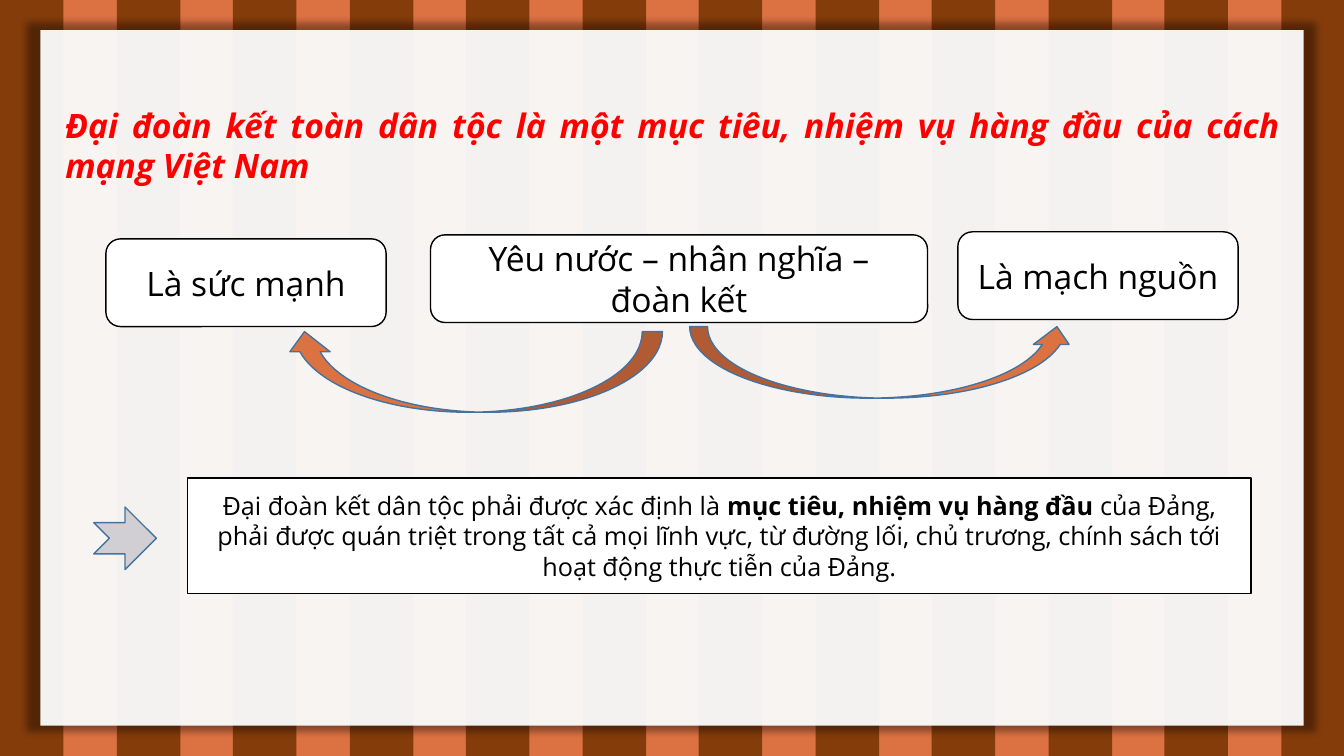
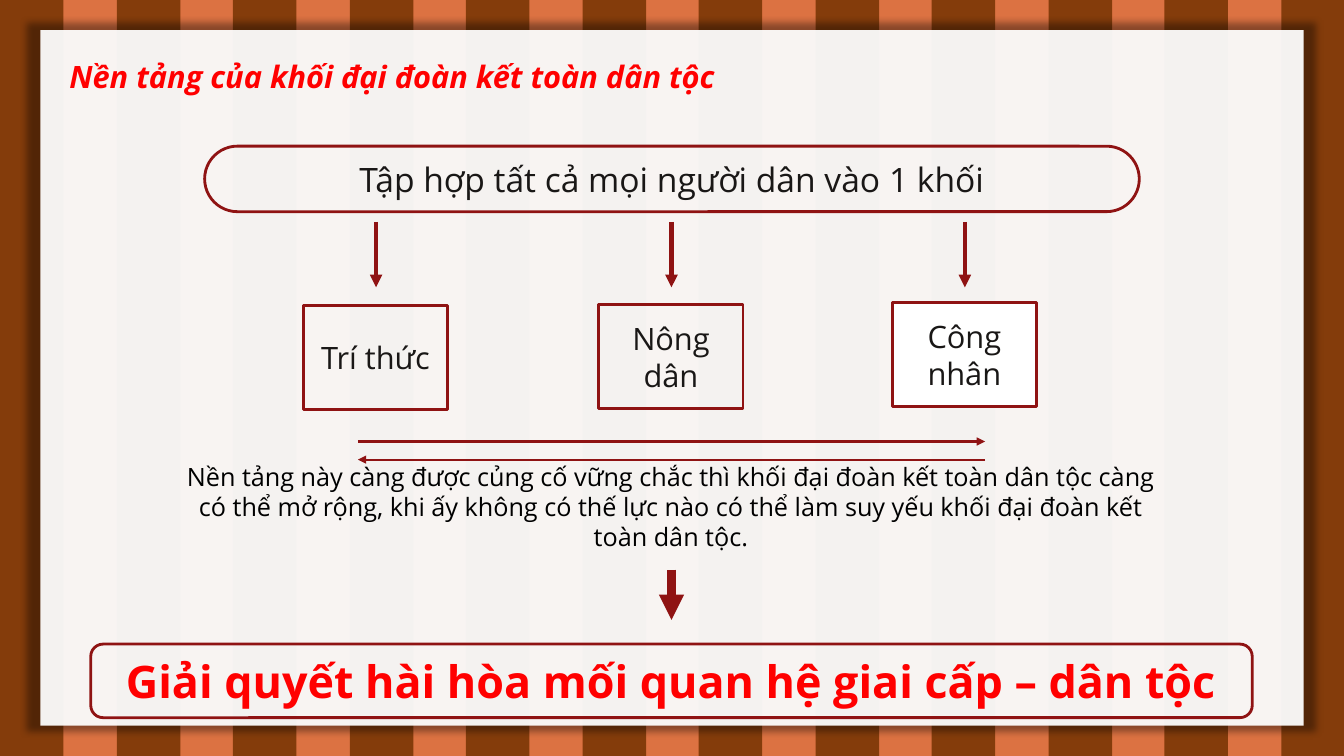
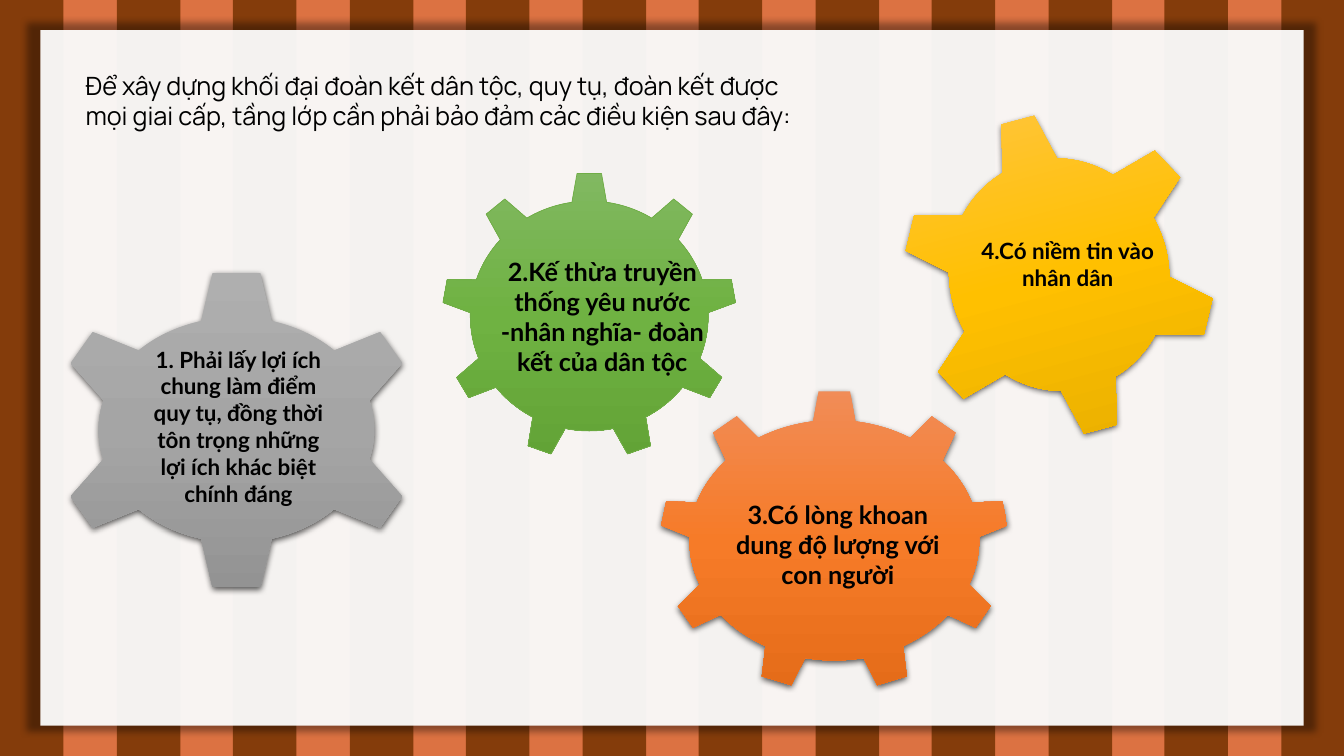
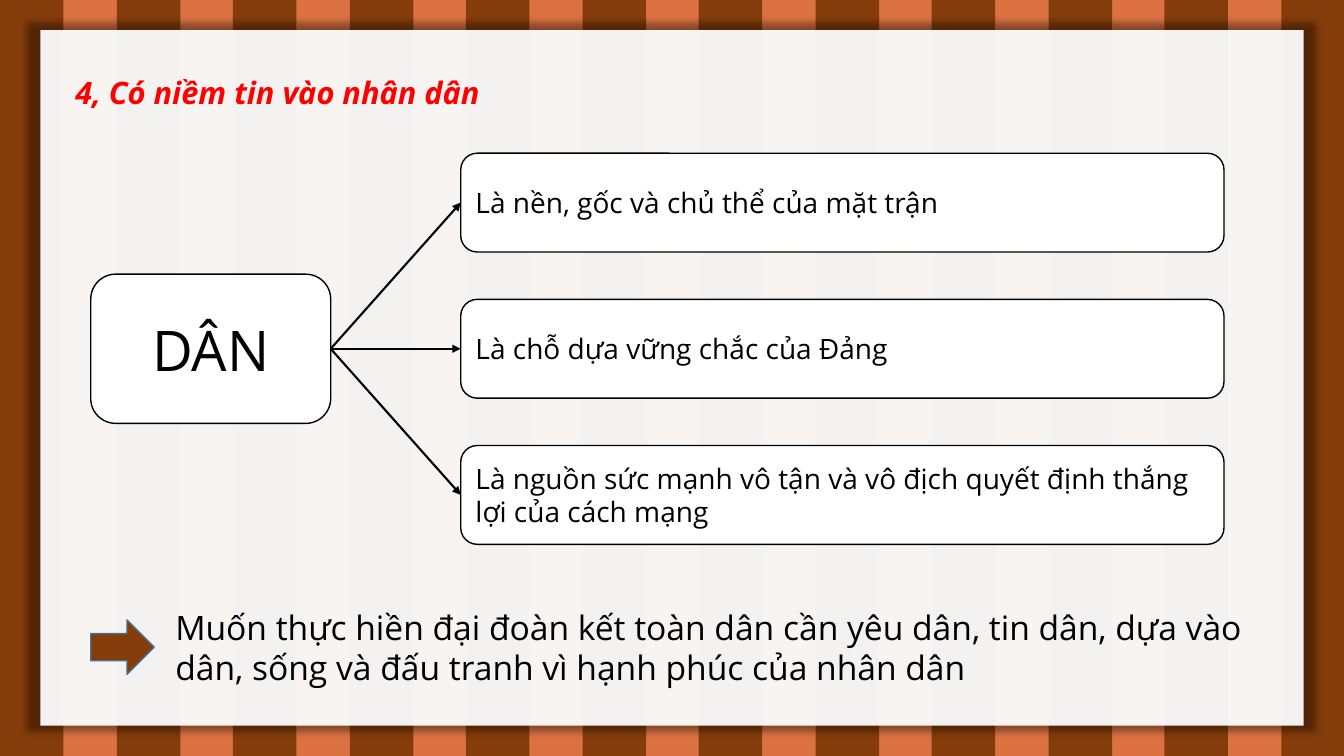
from dataclasses import dataclass

from lxml import etree
from pptx import Presentation
from pptx.dml.color import RGBColor
from pptx.enum.shapes import MSO_CONNECTOR, MSO_SHAPE
from pptx.enum.text import MSO_ANCHOR, PP_ALIGN
from pptx.oxml import parse_xml
from pptx.oxml.ns import nsdecls, qn
from pptx.util import Pt

RECTANGLE = MSO_SHAPE.RECTANGLE
ROUNDED = MSO_SHAPE.ROUNDED_RECTANGLE
FRAME = MSO_SHAPE.FRAME
CURVED_ARROW = MSO_SHAPE.CURVED_UP_ARROW
NOTCHED_ARROW = MSO_SHAPE.NOTCHED_RIGHT_ARROW
RIGHT_ARROW = MSO_SHAPE.RIGHT_ARROW
GEAR_6 = MSO_SHAPE.GEAR_6
GEAR_9 = MSO_SHAPE.GEAR_9
STRAIGHT = MSO_CONNECTOR.STRAIGHT
LEFT, CENTER, JUSTIFY = PP_ALIGN.LEFT, PP_ALIGN.CENTER, PP_ALIGN.JUSTIFY
TOP, MIDDLE = MSO_ANCHOR.TOP, MSO_ANCHOR.MIDDLE

PX = 9144
WIDTH, HEIGHT = 1333, 750


@dataclass(frozen=True)
class Theme:
    orange: str = "DC7242"
    brown: str = "843C0B"
    white: str = "FFFFFF"
    black: str = "000000"
    ink: str = "191716"
    red: str = "FF0000"
    maroon: str = "8F1313"
    blue: str = "43739E"
    silver: str = "D1CFD4"
    green: str = "70AD47"
    gray_blend: tuple = ("AFAFAF", "A5A5A5", "939393")
    green_blend: tuple = ("81B861", "6FB242", "62A336")
    orange_blend: tuple = ("F18C57", "F67B28", "E56C19")
    yellow_blend: tuple = ("FFC64B", "FFC000", "E3AB00")
    font: str = "Open Sans"
    intro_font: str = "Manrope"
    gear_font: str = "Lato"
    small: int = 16
    body: int = 18
    item: int = 20
    title: int = 22
    large: int = 24
    banner: int = 32
    hero: int = 40


theme = Theme()


def draw(page, kind, place, fill=None, line=None, weight=1, shadow=None):
    frame = [value * PX for value in place]
    if kind is None:
        return page.shapes.add_textbox(*frame)
    shape = page.shapes.add_shape(kind, *frame)
    if isinstance(fill, tuple):
        shape.fill.gradient()
        shape.fill.gradient_angle = 270
        stops = shape._element.spPr.find(qn("a:gradFill")).find(qn("a:gsLst"))
        stops.clear()
        for position, color in zip((0, 50000, 100000), fill):
            stop = etree.SubElement(stops, qn("a:gs"), pos=str(position))
            etree.SubElement(stop, qn("a:srgbClr"), val=color)
    elif fill:
        shape.fill.solid()
        shape.fill.fore_color.rgb = RGBColor.from_string(fill)
    else:
        shape.fill.background()
    if line:
        shape.line.color.rgb = RGBColor.from_string(line)
        shape.line.width = Pt(weight)
    else:
        shape.line.fill.background()
    shape.shadow.inherit = False
    if shadow:
        opacity, blur, distance, scale = shadow
        shape._element.spPr.find(qn("a:effectLst")).append(parse_xml(
            f'<a:outerShdw {nsdecls("a")} blurRad="{Pt(blur)}" dist="{Pt(distance)}" '
            f'dir="5400000" sx="{scale * 1000}" sy="{scale * 1000}" algn="ctr" rotWithShape="0">'
            f'<a:srgbClr val="{theme.black}"><a:alpha val="{opacity * 1000}"/></a:srgbClr>'
            '</a:outerShdw>'))
    return shape


def write(box, text, size=theme.large, color=theme.black, font=theme.font,
          bold=False, italic=False, align=CENTER, anchor=MIDDLE):
    frame = box.text_frame
    frame.word_wrap = True
    frame.vertical_anchor = anchor
    para = frame.paragraphs[0]
    para.alignment = align
    for index, part in enumerate(text.split("**")):
        span = para.add_run()
        span.text = part
        span.font.name = font
        span.font.size = Pt(size)
        span.font.bold = bold or index % 2 == 1
        span.font.italic = italic
        span.font.color.rgb = RGBColor.from_string(color)


deck = Presentation()
deck.slide_width = WIDTH * PX
deck.slide_height = HEIGHT * PX
layout = deck.slide_layouts[6]
goal, base, conditions, people = [deck.slides.add_slide(layout) for _ in range(4)]

layout.background.fill.solid()
layout.background.fill.fore_color.rgb = RGBColor.from_string(theme.orange)
backdrop = [draw(goal, RECTANGLE, ((index * 231 + 1) // 2, 0, 63, HEIGHT), theme.brown)
            for index in range(12)]
panel = draw(goal, FRAME, (40, 30, 1253, 690), theme.white, shadow=(40, 5, 0, 102))
panel.adjustments[0] = 0.5
panel_color = panel._element.spPr.find(qn("a:solidFill")).find(qn("a:srgbClr"))
etree.SubElement(panel_color, qn("a:alpha"), val="94000")
for shape in backdrop + [panel]:
    layout.shapes._spTree.append(shape._element)

heading = dict(color=theme.red, bold=True, italic=True)
for page, place, text, size, align, anchor in (
    (goal, (55, 99, 1224, 91),
     "Đại đoàn kết toàn dân tộc là một mục tiêu, nhiệm vụ hàng đầu của cách mạng Việt Nam",
     theme.large, JUSTIFY, TOP),
    (base, (59, 39, 1142, 73), "Nền tảng của khối đại đoàn kết toàn dân tộc",
     theme.title, LEFT, MIDDLE),
    (people, (65, 68, 746, 46), "4, Có niềm tin vào nhân dân", theme.title, LEFT, TOP),
):
    write(draw(page, None, place), text, size=size, align=align, anchor=anchor, **heading)

for left, top, width, text in (
    (105, 237, 278, "Là sức mạnh"),
    (427, 233, 493, "Yêu nước – nhân nghĩa – đoàn kết"),
    (950, 230, 278, "Là mạch nguồn"),
):
    write(draw(goal, ROUNDED, (left, top, width, 87), theme.white, theme.black), text)
draw(goal, CURVED_ARROW, (684, 324, 382, 71), theme.orange, theme.blue)
left_arrow = draw(goal, CURVED_ARROW, (282, 329, 375, 80), theme.orange, theme.blue)
left_arrow._element.spPr.xfrm.set("flipH", "1")
draw(goal, NOTCHED_ARROW, (93, 503, 62, 62), theme.silver, theme.blue)
conclusion = draw(goal, RECTANGLE, (186, 474, 1055, 115), theme.white, theme.black)
write(conclusion,
      "Đại đoàn kết dân tộc phải được xác định là **mục tiêu, nhiệm vụ hàng đầu** của Đảng, "
      "phải được quán triệt trong tất cả mọi lĩnh vực, từ đường lối, chủ trương, "
      "chính sách tới hoạt động thực tiễn của Đảng.", size=theme.body)

gathering = draw(base, ROUNDED, (203, 145, 927, 65), line=theme.maroon, weight=2)
gathering.adjustments[0] = 0.5
write(gathering, "Tập hợp tất cả mọi người dân vào 1 khối", color=theme.ink)
arrows = []
for left, top, fill, text in (
    (301, 303, None, "Trí thức"),
    (594, 302, None, "Nông dân"),
    (885, 300, theme.white, "Công nhân"),
):
    group = draw(base, RECTANGLE, (left, top, 143, 103), fill, theme.maroon, 2)
    write(group, text, size=theme.title, color=theme.ink)
    middle = left + 72
    arrows.append((base, (middle, 220, middle, 285), theme.maroon, 3))
write(draw(base, None, (169, 451, 993, 103)),
      "Nền tảng này càng được củng cố vững chắc thì khối đại đoàn kết toàn dân tộc càng "
      "có thể mở rộng, khi ấy không có thế lực nào có thể làm suy yếu khối đại đoàn kết "
      "toàn dân tộc.", size=theme.body)
resolution = draw(base, ROUNDED, (90, 639, 1152, 73), line=theme.maroon, weight=2)
write(resolution, "Giải quyết hài hòa mối quan hệ giai cấp – dân tộc",
      size=theme.banner, color=theme.red, bold=True)
arrows += [
    (base, (355, 438, 977, 438), theme.maroon, 1.5),
    (base, (977, 456, 355, 456), theme.maroon, 1.5),
    (base, (666, 565, 666, 615), theme.maroon, 6),
]

write(draw(conditions, None, (75, 65, 753, 71)),
      "Để xây dựng khối đại đoàn kết dân tộc, quy tụ, đoàn kết được mọi giai cấp, "
      "tầng lớp cần phải bảo đảm cảc điều kiện sau đây:",
      size=theme.body, font=theme.intro_font, align=LEFT, anchor=TOP)
gear_shadow = (63, 4.5, 1.5, 100)
for kind, place, blend, line, shadow, turn, label, size, text in (
    (GEAR_9, (654, 387, 347, 298), theme.orange_blend, None, gear_shadow, 0,
     (709, 490, 244, 101), theme.body, "3.Có lòng khoan dung độ lượng với con người"),
    (GEAR_6, (50, 267, 369, 319), theme.gray_blend, None, gear_shadow, 0,
     (137, 338, 199, 199), theme.small,
     "1. Phải lấy lợi ích chung làm điểm quy tụ, đồng thời tôn trọng những lợi ích "
     "khác biệt chính đáng"),
    (GEAR_6, (895, 110, 311, 325), theme.yellow_blend, None, gear_shadow, 345,
     (959, 230, 200, 140), theme.small, "4.Có niềm tin vào nhân dân"),
    (GEAR_9, (438, 171, 293, 285), theme.green_blend, theme.green, None, 0,
     (486, 249, 223, 162), theme.body,
     "2.Kế thừa truyền thống yêu nước -nhân nghĩa- đoàn kết của dân tộc"),
):
    gear = draw(conditions, kind, place, blend, line, 0.5, shadow)
    gear.rotation = turn
    write(draw(conditions, None, label), text, size=size, font=theme.gear_font,
          bold=True, anchor=TOP)

write(draw(people, ROUNDED, (90, 272, 238, 148), theme.white, theme.black),
      "DÂN", size=theme.hero)
for index, text in enumerate((
    "Là nền, gốc và chủ thể của mặt trận",
    "Là chỗ dựa vững chắc của Đảng",
    "Là nguồn sức mạnh vô tận và vô địch quyết định thắng lợi của cách mạng",
)):
    top = 152 + index * 145
    write(draw(people, ROUNDED, (457, top, 757, 98), theme.white, theme.black),
          text, size=theme.item, align=LEFT)
    arrows.append((people, (328, 346, 457, top + 49), theme.black, 1.5))
draw(people, RIGHT_ARROW, (90, 615, 63, 54), theme.brown, theme.blue)
write(draw(people, None, (164, 597, 1144, 91)),
      "Muốn thực hiền đại đoàn kết toàn dân cần yêu dân, tin dân, dựa vào dân, "
      "sống và đấu tranh vì hạnh phúc của nhân dân", align=LEFT, anchor=TOP)

for page, ends, color, weight in arrows:
    arrow = page.shapes.add_connector(STRAIGHT, *[value * PX for value in ends])
    arrow.line.color.rgb = RGBColor.from_string(color)
    arrow.line.width = Pt(weight)
    etree.SubElement(arrow.line._get_or_add_ln(), qn("a:tailEnd"), type="triangle")
    etree.SubElement(arrow._element.spPr, qn("a:effectLst"))

deck.save("out.pptx")
